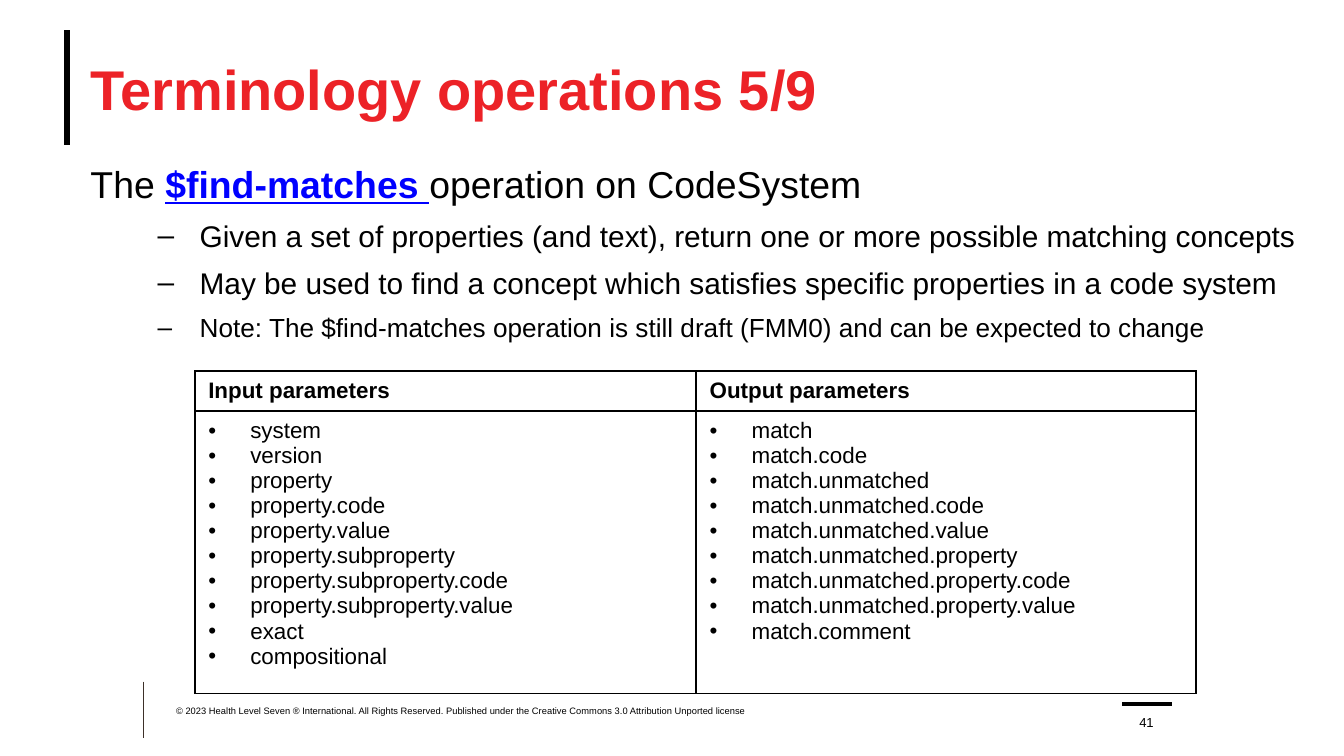
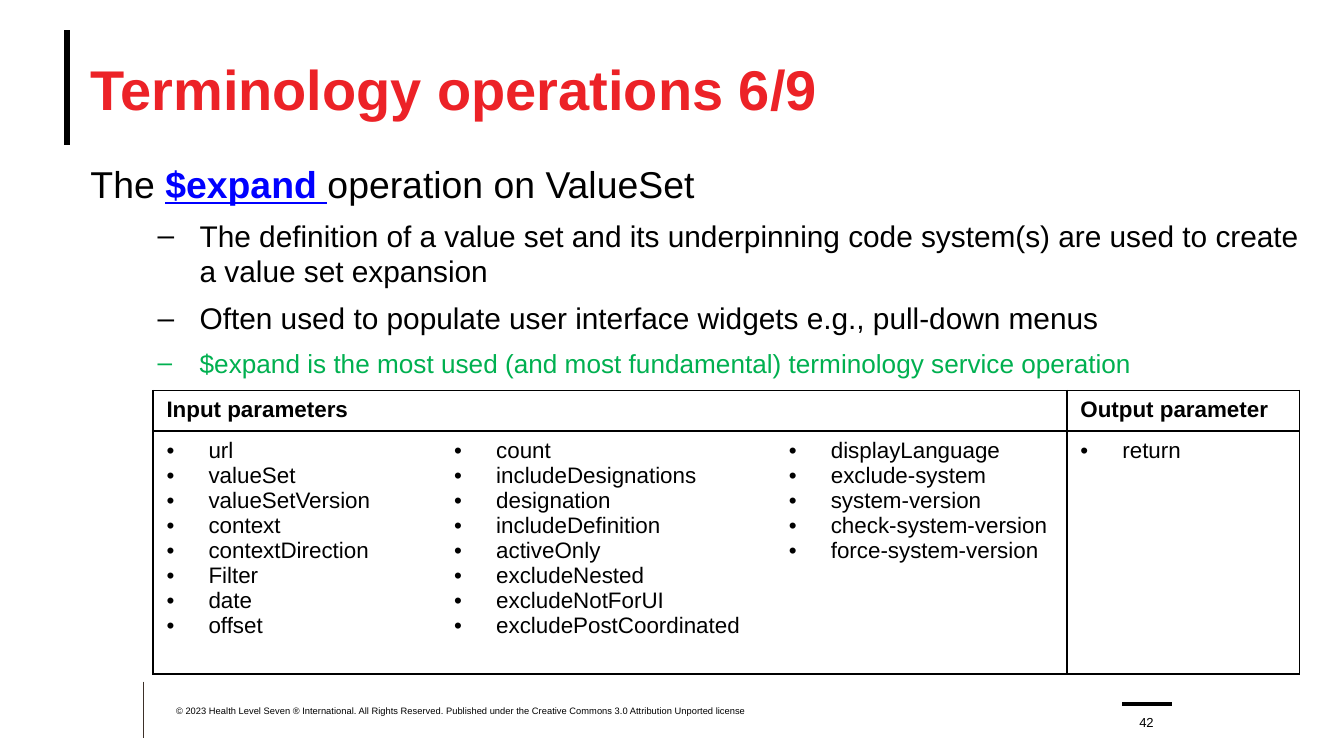
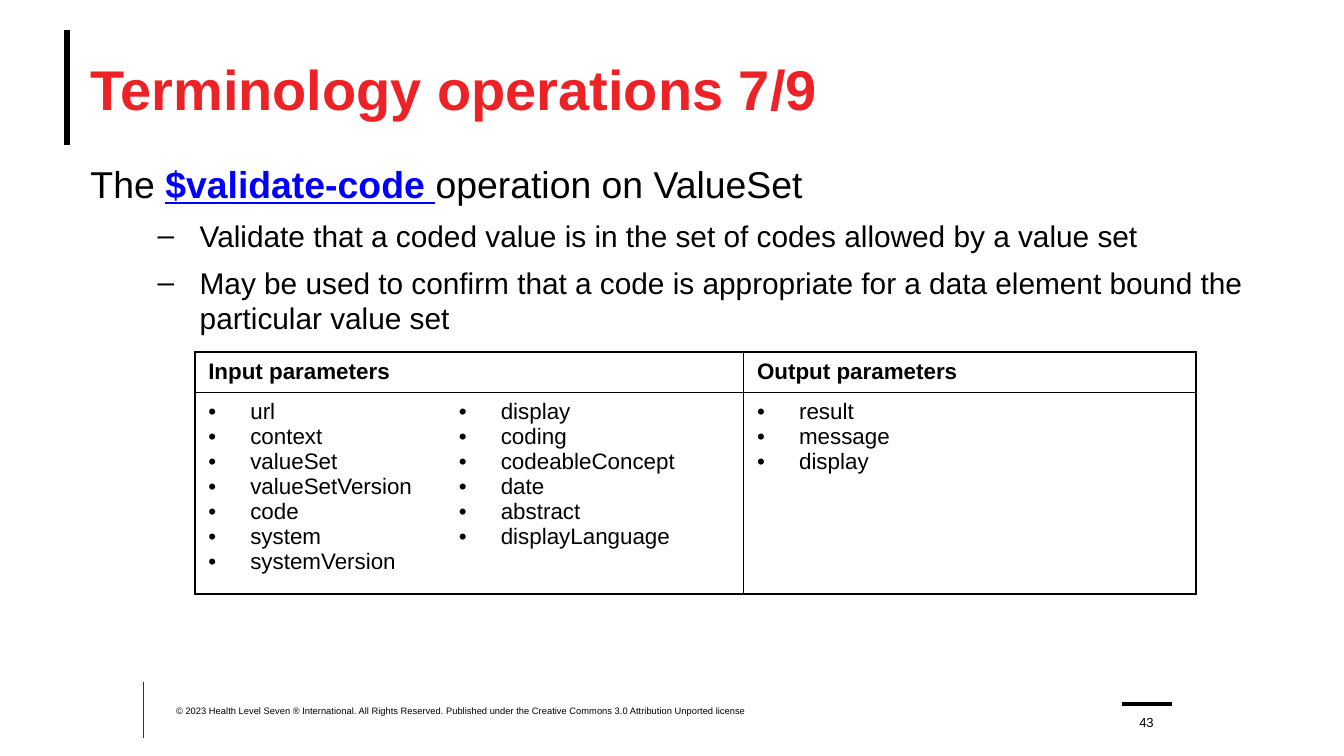
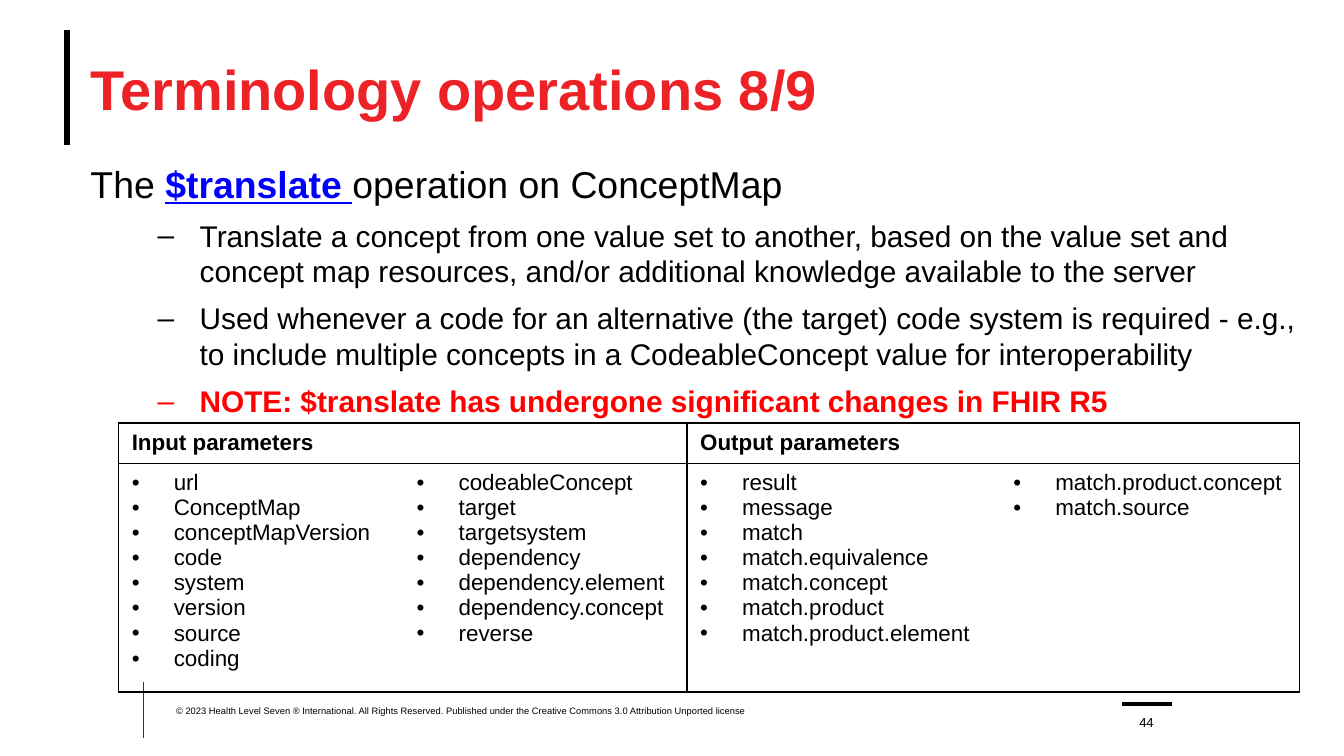
from lxml import etree
from pptx import Presentation
from pptx.dml.color import RGBColor
from pptx.enum import shapes, text
from pptx.oxml import ns
from pptx.util import Pt

BLACK = RGBColor(0x00, 0x00, 0x00)
BROWN = RGBColor(0x3D, 0x30, 0x29)
TITLE_RED = RGBColor(0xEC, 0x22, 0x27)
NOTE_RED = RGBColor(0xFF, 0x00, 0x00)
GREEN = RGBColor(0x00, 0xB0, 0x50)
LINK_BLUE = RGBColor(0x00, 0x00, 0xFF)
FONT = "Arial"
INDENT = 22.5
FOOTER = ("© 2023 Health Level Seven ® International. All Rights Reserved. "
          "Published under the Creative Commons 3.0 Attribution Unported license")

# Rules on every slide: x1, y1, x2, y2, colour, width
RULES = [
    (36, 16.2, 36, 77.8, BLACK, 3.25),
    (77, 365.2, 77, 395.3, BROWN, 0.5),
    (601.2, 377.3, 627.8, 377.3, BLACK, 2),
]

# Points: text, size, colour, bold
# Table rows: least heights, which grow to fit the text
# Table groups: heading, then one (width, names) pair per column
SLIDES = [
    {
        "operation": "$find-matches", "resource": "CodeSystem",
        "points": [
            ("Given a set of properties (and text), return one or more possible matching concepts", 16, BLACK, False),
            ("May be used to find a concept which satisfies specific properties in a code system", 16, BLACK, False),
            ("Note: The $find-matches operation is still draft (FMM0) and can be expected to change", 14, BLACK, False),
        ],
        "left": 104.4, "top": 198.7, "rows": (13, 88.6),
        "groups": [
            ("Input parameters", [
                (268.6, "system version property property.code property.value property.subproperty "
                        "property.subproperty.code property.subproperty.value exact compositional"),
            ]),
            ("Output parameters", [
                (267.8, "match match.code match.unmatched match.unmatched.code match.unmatched.value "
                        "match.unmatched.property match.unmatched.property.code "
                        "match.unmatched.property.value match.comment"),
            ]),
        ],
    },
    {
        "operation": "$expand", "resource": "ValueSet",
        "points": [
            ("The definition of a value set and its underpinning code system(s) are used to create "
             "a value set expansion", 16, BLACK, False),
            ("Often used to populate user interface widgets e.g., pull-down menus", 16, BLACK, False),
            ("$expand is the most used (and most fundamental) terminology service operation", 14, GREEN, False),
        ],
        "left": 82, "top": 209.3, "rows": (20.2, 130.3),
        "groups": [
            ("Input parameters", [
                (154.1, "url valueSet valueSetVersion context contextDirection Filter date offset"),
                (179.3, "count includeDesignations designation includeDefinition activeOnly "
                        "excludeNested excludeNotForUI excludePostCoordinated"),
                (156.2, "displayLanguage exclude-system system-version check-system-version "
                        "force-system-version"),
            ]),
            ("Output parameter", [(124.6, "return")]),
        ],
    },
    {
        "operation": "$validate-code", "resource": "ValueSet",
        "points": [
            ("Validate that a coded value is in the set of codes allowed by a value set", 16, BLACK, False),
            ("May be used to confirm that a code is appropriate for a data element bound the "
             "particular value set", 16, BLACK, False),
        ],
        "left": 104.4, "top": 188.6, "rows": (15.8, 103),
        "groups": [
            ("Input parameters", [
                (134.2, "url context valueSet valueSetVersion code system systemVersion"),
                (159.8, "display coding codeableConcept date abstract displayLanguage"),
            ]),
            ("Output parameters", [(242.4, "result message display")]),
        ],
    },
    {
        "operation": "$translate", "resource": "ConceptMap",
        "points": [
            ("Translate a concept from one value set to another, based on the value set and concept map "
             "resources, and/or additional knowledge available to the server", 16, BLACK, False),
            ("Used whenever a code for an alternative (the target) code system is required - e.g., to include "
             "multiple concepts in a CodeableConcept value for interoperability", 16, BLACK, False),
            ("NOTE: $translate has undergone significant changes in FHIR R5", 16, NOTE_RED, True),
        ],
        "left": 63.4, "top": 226.7, "rows": (15.1, 107.3),
        "groups": [
            ("Input parameters", [
                (152.6, "url ConceptMap conceptMapVersion code system version source coding"),
                (151.9, "codeableConcept target targetsystem dependency dependency.element "
                        "dependency.concept reverse"),
            ]),
            ("Output parameters", [
                (167.8, "result message match match.equivalence match.concept match.product "
                        "match.product.element"),
                (160.6, "match.product.concept match.source"),
            ]),
        ],
    },
]


def add_text(paragraph, words, size, color=BLACK, bold=False, underline=False, bullet=None, margin=INDENT):
    """Add one run, after an optional hanging bullet."""
    if bullet:
        properties = paragraph._p.get_or_add_pPr()
        properties.set("marL", str(Pt(margin)))
        properties.set("indent", str(-Pt(INDENT)))
        etree.SubElement(properties, ns.qn("a:buFont")).set("typeface", FONT)
        etree.SubElement(properties, ns.qn("a:buChar")).set("char", bullet)
    run = paragraph.add_run()
    run.text = words
    run.font.name, run.font.size, run.font.bold = FONT, Pt(size), bold
    run.font.underline = underline
    run.font.color.rgb = color


def add_box(slide, left, top, width, height, anchor):
    """Add a wrapping text box without margins and return its text frame."""
    frame = slide.shapes.add_textbox(Pt(left), Pt(top), Pt(width), Pt(height)).text_frame
    frame.word_wrap = True
    frame.vertical_anchor = anchor
    frame.margin_left = frame.margin_top = frame.margin_right = frame.margin_bottom = 0
    return frame


presentation = Presentation()
presentation.slide_width, presentation.slide_height = Pt(720), Pt(405)

for index, content in enumerate(SLIDES):
    slide = presentation.slides.add_slide(presentation.slide_layouts[6])

    # Rules
    for x1, y1, x2, y2, color, width in RULES:
        rule = slide.shapes.add_connector(shapes.MSO_CONNECTOR.STRAIGHT, Pt(x1), Pt(y1), Pt(x2), Pt(y2))
        rule.line.color.rgb = color
        rule.line.width = Pt(width)
        etree.SubElement(rule._element.spPr, ns.qn("a:effectLst"))

    # Title
    title = add_box(slide, 48.5, 16.2, 648, 61.6, text.MSO_ANCHOR.MIDDLE)
    add_text(title.paragraphs[0], f"Terminology operations {index + 5}/9", 30, TITLE_RED, True)

    # Operation and its points
    body = add_box(slide, 48.5, 86.4, 648, 280, text.MSO_ANCHOR.TOP)
    lead = body.paragraphs[0]
    add_text(lead, "The ", 20)
    add_text(lead, content["operation"], 20, LINK_BLUE, True, True)
    add_text(lead, " ", 20, LINK_BLUE, underline=True)
    add_text(lead, f"operation on {content['resource']}", 20)
    for words, size, color, bold in content["points"]:
        point = body.add_paragraph()
        point.level = 1
        point.space_before = Pt(6)
        add_text(point, words, size, color, bold, bullet="–", margin=58.5)

    # Footer and slide number
    footer = add_box(slide, 94.3, 377.6, 356.4, 12, text.MSO_ANCHOR.TOP)
    add_text(footer.paragraphs[0], FOOTER, 5)
    number = add_box(slide, 603.4, 379, 21.6, 12, text.MSO_ANCHOR.BOTTOM)
    number.paragraphs[0].alignment = text.PP_ALIGN.CENTER
    add_text(number.paragraphs[0], str(index + 41), 7)

    # Parameter table
    widths = [width for _, columns in content["groups"] for width, _ in columns]
    table = slide.shapes.add_table(
        2, len(widths), Pt(content["left"]), Pt(content["top"]),
        Pt(sum(widths)), Pt(sum(content["rows"]))).table
    table.first_row = table.horz_banding = False
    for row, height in zip(table.rows, content["rows"]):
        row.height = Pt(height)
    for column, width in zip(table.columns, widths):
        column.width = Pt(width)

    start = 0
    for heading, columns in content["groups"]:
        last = len(columns) - 1
        if last:
            table.cell(0, start).merge(table.cell(0, start + last))
        add_text(table.cell(0, start).text_frame.paragraphs[0], heading, 12, bold=True)
        for offset, (_, names) in enumerate(columns):
            frame = table.cell(1, start + offset).text_frame
            for position, name in enumerate(names.split()):
                paragraph = frame.add_paragraph() if position else frame.paragraphs[0]
                add_text(paragraph, name, 12, bullet="•")

            # Headings are boxed; below them only the group's outer edges show
            for row in range(2):
                cell = table.cell(row, start + offset)
                properties = cell._tc.get_or_add_tcPr()
                edges = {"a:lnL": row == 0 or offset == 0, "a:lnR": row == 0 or offset == last,
                         "a:lnT": True, "a:lnB": True}
                for edge, visible in edges.items():
                    border = etree.SubElement(properties, ns.qn(edge), w=str(Pt(1)))
                    if visible:
                        fill = etree.SubElement(border, ns.qn("a:solidFill"))
                        etree.SubElement(fill, ns.qn("a:srgbClr")).set("val", str(BLACK))
                    else:
                        etree.SubElement(border, ns.qn("a:noFill"))
                cell.fill.background()
        start += len(columns)

presentation.save("out.pptx")
